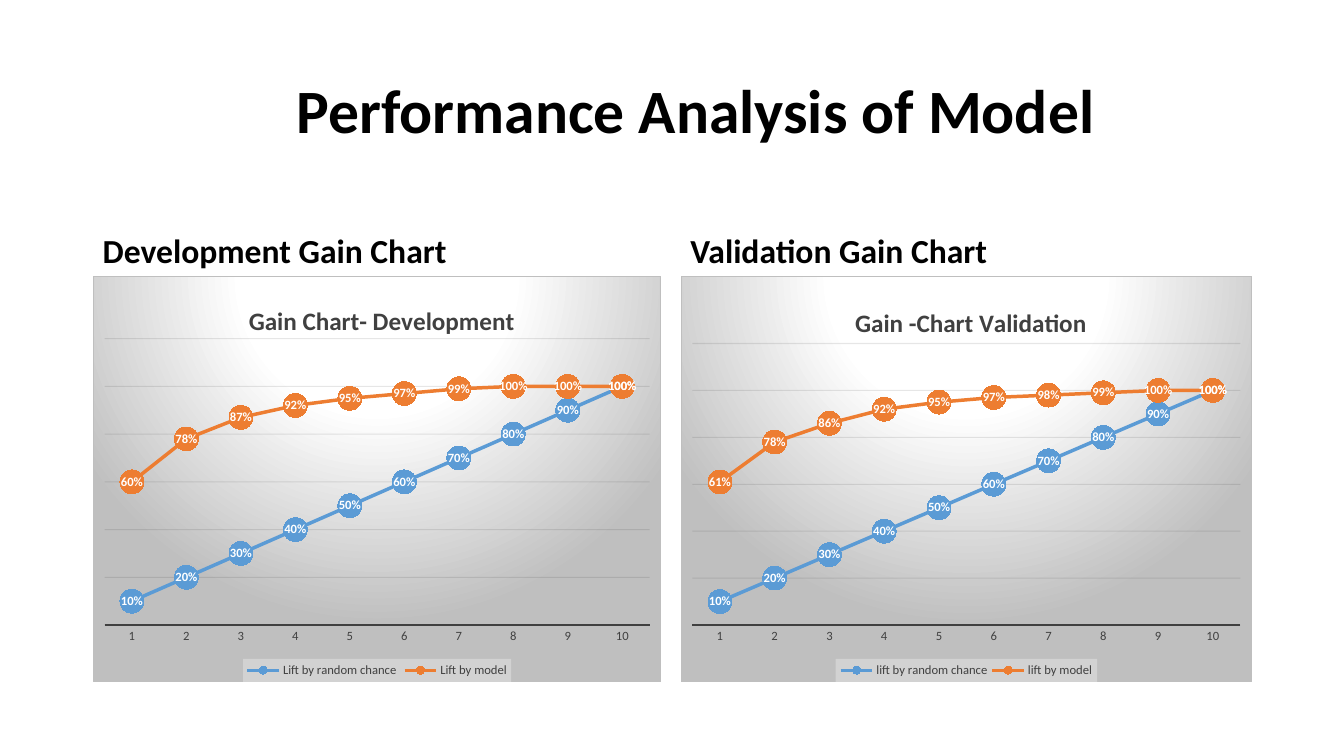
from lxml import etree
from pptx import Presentation
from pptx.chart.data import CategoryChartData
from pptx.dml.color import RGBColor
from pptx.enum.chart import XL_CHART_TYPE as CT, XL_LABEL_POSITION as LP
from pptx.enum.chart import XL_LEGEND_POSITION, XL_MARKER_STYLE, XL_TICK_MARK
from pptx.enum.text import MSO_ANCHOR
from pptx.oxml import parse_xml
from pptx.oxml.ns import nsdecls, qn
from pptx.util import Inches, Pt

# Content
FONT = "Calibri"
TITLE = "Performance Analysis of Model"
DECILES = [str(n) for n in range(1, 11)]
RANDOM = [n / 10 for n in range(1, 11)]
COLORS = ["5B9BD5", "ED7D31"]
# layouts are (x, y, w, h) as fractions of the chart
PANELS = [
    dict(left=0.92, width=5.64, heading="Development Gain Chart",
         title="Gain Chart- Development",
         names=["Lift by random chance", "Lift by model"],
         model=[0.6, 0.78, 0.87, 0.92, 0.95, 0.97, 0.99, 1, 1, 1],
         title_at=(0.266, 0.055), plot_at=(0.02, 0.153, 0.96, 0.707),
         legend_at=(0.264, 0.943, 0.472, 0.057)),
    dict(left=6.75, width=5.67, heading="Validation Gain Chart",
         title="Gain -Chart Validation",
         names=["lift by random chance", "lift by model"],
         model=[0.61, 0.78, 0.86, 0.92, 0.95, 0.97, 0.98, 0.99, 1, 1],
         title_at=(0.297, 0.06), plot_at=(0.02, 0.165, 0.96, 0.695),
         legend_at=(0.271, 0.943, 0.458, 0.057)),
]


def rgb(color):
    return RGBColor.from_string(color)


def set_font(font, size, color, bold=False):
    font.name, font.size, font.bold = FONT, Pt(size), bold
    font.color.rgb = rgb(color)


def add_text(s, text, box, size, anchor, inset=0.1):
    tf = s.shapes.add_textbox(*map(Inches, box)).text_frame
    tf.word_wrap = True
    tf.vertical_anchor = anchor
    tf.margin_left = Inches(inset)
    p = tf.paragraphs[0]
    p.text = text
    p.line_spacing = 0.9
    set_font(p.runs[0].font, size, "000000", True)


def set_layout(parent, index, at, inner=False):
    for old in parent.findall(qn("c:layout")):
        parent.remove(old)
    layout = parse_xml(f"<c:layout {nsdecls('c')}><c:manualLayout/></c:layout>")
    parts = [("layoutTarget", "inner")] if inner else []
    parts += [("xMode", "edge"), ("yMode", "edge"), *zip("xywh", at)]
    for tag, value in parts:
        etree.SubElement(layout[0], qn("c:" + tag)).set("val", str(value))
    parent.insert(index, layout)


def add_background(space):
    stops = "".join(
        f'<a:gs pos="{pos}000"><a:srgbClr val="{color}"/></a:gs>'
        for pos, color in [(0, "FFFFFF"), (39, "FFFFFF"), (100, "BFBFBF")])
    space.find(qn("c:chart")).addnext(parse_xml(
        f'<c:spPr {nsdecls("c", "a")}><a:gradFill><a:gsLst>{stops}</a:gsLst>'
        '<a:path path="circle"><a:fillToRect l="50000" t="-80000" r="50000" '
        'b="180000"/></a:path></a:gradFill><a:ln w="9525"><a:solidFill>'
        '<a:srgbClr val="BFBFBF"/></a:solidFill></a:ln></c:spPr>'))


def add_gain_chart(s, panel):
    data = CategoryChartData(number_format="0%")
    data.categories = DECILES
    for name, values in zip(panel["names"], [RANDOM, panel["model"]]):
        data.add_series(name, values)
    box = map(Inches, (panel["left"], 2.74, panel["width"], 4.03))
    chart = s.shapes.add_chart(CT.LINE_MARKERS, *box, data).chart
    set_font(chart.font, 10, "000000")
    add_background(chart._chartSpace)

    # Title and legend
    p = chart.chart_title.text_frame.paragraphs[0]
    p.text = panel["title"]
    set_font(p.runs[0].font, 18, "404040", True)
    chart.has_legend = True
    legend = chart.legend
    legend.position = XL_LEGEND_POSITION.BOTTOM
    legend.include_in_layout = False
    set_font(legend.font, 9, "404040")
    legend_el = legend._element
    legend_el.find(qn("c:overlay")).addnext(parse_xml(
        f'<c:spPr {nsdecls("c", "a")}><a:solidFill><a:srgbClr val="F2F2F2">'
        '<a:alpha val="39000"/></a:srgbClr></a:solidFill></c:spPr>'))
    set_layout(chart.chart_title._element, 1, panel["title_at"])
    set_layout(legend_el, 1, panel["legend_at"])
    plot_area = chart._chartSpace.find(".//" + qn("c:plotArea"))
    set_layout(plot_area, 0, panel["plot_at"], inner=True)

    # Axes
    cat, val = chart.category_axis, chart.value_axis
    cat.major_tick_mark = XL_TICK_MARK.NONE
    set_font(cat.tick_labels.font, 9, "404040")
    cat.format.line.color.rgb = rgb("404040")
    cat.format.line.width = Pt(1.5)
    val.minimum_scale, val.maximum_scale, val.major_unit = 0, 1.2, 0.2
    val.visible = False
    grid = val.major_gridlines.format.line
    grid.color.rgb = rgb("0D0D0D")
    grid.width = Pt(0.75)
    grid_color = val._element.find(".//" + qn("a:srgbClr"))
    etree.SubElement(grid_color, qn("a:alpha")).set("val", "10000")

    # Series
    for series, color in zip(chart.plots[0].series, COLORS):
        series.smooth = False
        series.format.line.color.rgb = rgb(color)
        series.format.line.width = Pt(2.5)
        marker = series.marker
        marker.style, marker.size = XL_MARKER_STYLE.CIRCLE, 17
        marker.format.fill.solid()
        marker.format.fill.fore_color.rgb = rgb(color)
        marker.format.line.fill.background()
        labels = series.data_labels
        labels.show_value = True
        labels.position = LP.CENTER
        labels.number_format = "0%"
        labels.number_format_is_linked = False
        set_font(labels.font, 9, "FFFFFF", True)


# Slide
prs = Presentation()
prs.slide_width, prs.slide_height = Inches(13.33), Inches(7.5)
s = prs.slides.add_slide(prs.slide_layouts[6])
add_text(s, TITLE, (0.92, 0.4, 11.5, 1.45), 44, MSO_ANCHOR.MIDDLE, inset=2.02)
for panel in PANELS:
    heading_box = (panel["left"], 1.84, panel["width"], 0.9)
    add_text(s, panel["heading"], heading_box, 24, MSO_ANCHOR.BOTTOM)
    add_gain_chart(s, panel)
prs.save("out.pptx")
